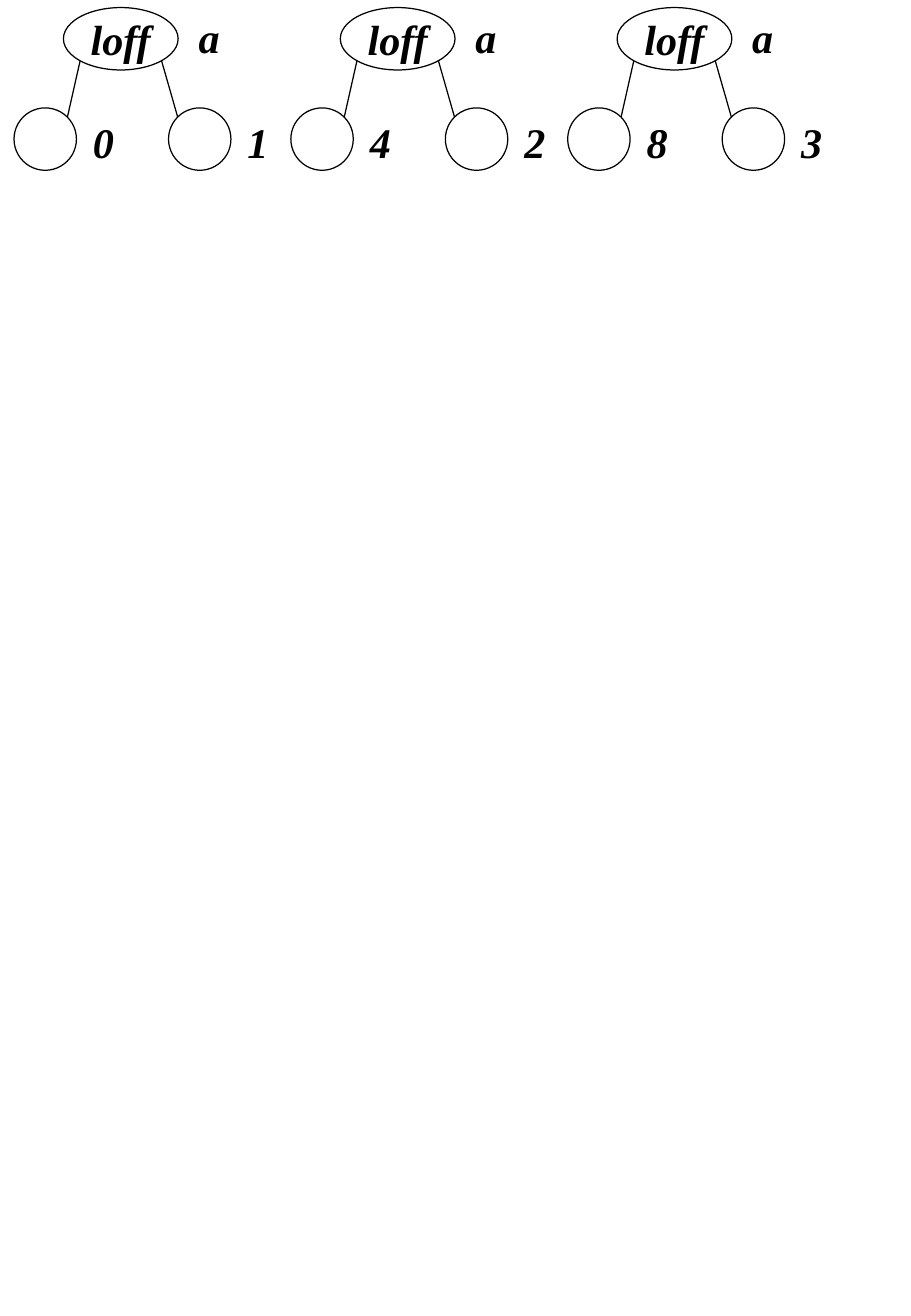
from lxml import etree
from pptx import Presentation
from pptx.dml.color import RGBColor
from pptx.enum.shapes import MSO_CONNECTOR, MSO_SHAPE
from pptx.enum.text import MSO_ANCHOR, PP_ALIGN
from pptx.oxml.ns import qn
from pptx.util import Pt

BLACK = RGBColor(0, 0, 0)
FONT = "Times New Roman"
OVAL = MSO_SHAPE.OVAL
STRAIGHT = MSO_CONNECTOR.STRAIGHT
MIDDLE = MSO_ANCHOR.MIDDLE
LEFT, CENTER = PP_ALIGN.LEFT, PP_ALIGN.CENTER

SLIDE_WIDTH, SLIDE_HEIGHT = 540, 780.48
LINE_WIDTH = 0.75
NODE_HEIGHT = 37
ROOT_WIDTH = 68
LABEL_WIDTH, LABEL_HEIGHT = 31, 34

# Three trees side by side
FIRST_LEFT, TOP, TREE_PITCH = 8.3, 4.5, 164.1
TREES = [("0", "1"), ("4", "2"), ("8", "3")]


def write_text(shape, text, align=LEFT, inset=7.9, size=25):
    frame = shape.text_frame
    frame.word_wrap = False
    frame.vertical_anchor = MIDDLE
    frame.margin_left = frame.margin_right = Pt(inset)
    frame.margin_top = frame.margin_bottom = Pt(3.6)
    paragraph = frame.paragraphs[0]
    paragraph.alignment = align
    run = paragraph.add_run()
    run.text = text
    run.font.name = FONT
    run.font.size = Pt(size)
    run.font.bold = run.font.italic = True
    run.font.color.rgb = BLACK


def add_node(slide, left, top, width):
    shape = slide.shapes.add_shape(OVAL, Pt(left), Pt(top), Pt(width), Pt(NODE_HEIGHT))
    shape.shadow.inherit = False
    shape.fill.background()
    shape.line.color.rgb = BLACK
    shape.line.width = Pt(LINE_WIDTH)
    return shape


def add_label(slide, left, top, text):
    box = slide.shapes.add_textbox(Pt(left), Pt(top), Pt(LABEL_WIDTH), Pt(LABEL_HEIGHT))
    write_text(box, text)


def add_branch(slide, start_x, start_y, end_x, end_y):
    branch = slide.shapes.add_connector(
        STRAIGHT, Pt(start_x), Pt(start_y), Pt(end_x), Pt(end_y))
    branch.line.color.rgb = BLACK
    branch.line.width = Pt(LINE_WIDTH)
    etree.SubElement(branch._element.spPr, qn("a:effectLst"))


def add_tree(slide, left, top, leaves):
    # Root and its label
    root = add_node(slide, left + 29.3, top, ROOT_WIDTH)
    write_text(root, "loff", align=CENTER, inset=7.2)
    add_label(slide, left + 101.5, top, "a")

    # Leaves with their labels and branches
    offsets = [0, 91.6]
    branches = [(39.2, 31.7), (87.5, 97)]
    for text, offset, (start_x, end_x) in zip(leaves, offsets, branches):
        add_branch(slide, left + start_x, top + 31.6, left + end_x, top + 64.8)
        add_node(slide, left + offset, top + 59.5, NODE_HEIGHT)
        add_label(slide, left + offset + 38.9, top + 62.5, text)


def main():
    presentation = Presentation()
    presentation.slide_width = Pt(SLIDE_WIDTH)
    presentation.slide_height = Pt(SLIDE_HEIGHT)
    slide = presentation.slides.add_slide(presentation.slide_layouts[6])
    for index, leaves in enumerate(TREES):
        add_tree(slide, FIRST_LEFT + index * TREE_PITCH, TOP, leaves)
    presentation.save("out.pptx")


if __name__ == "__main__":
    main()
